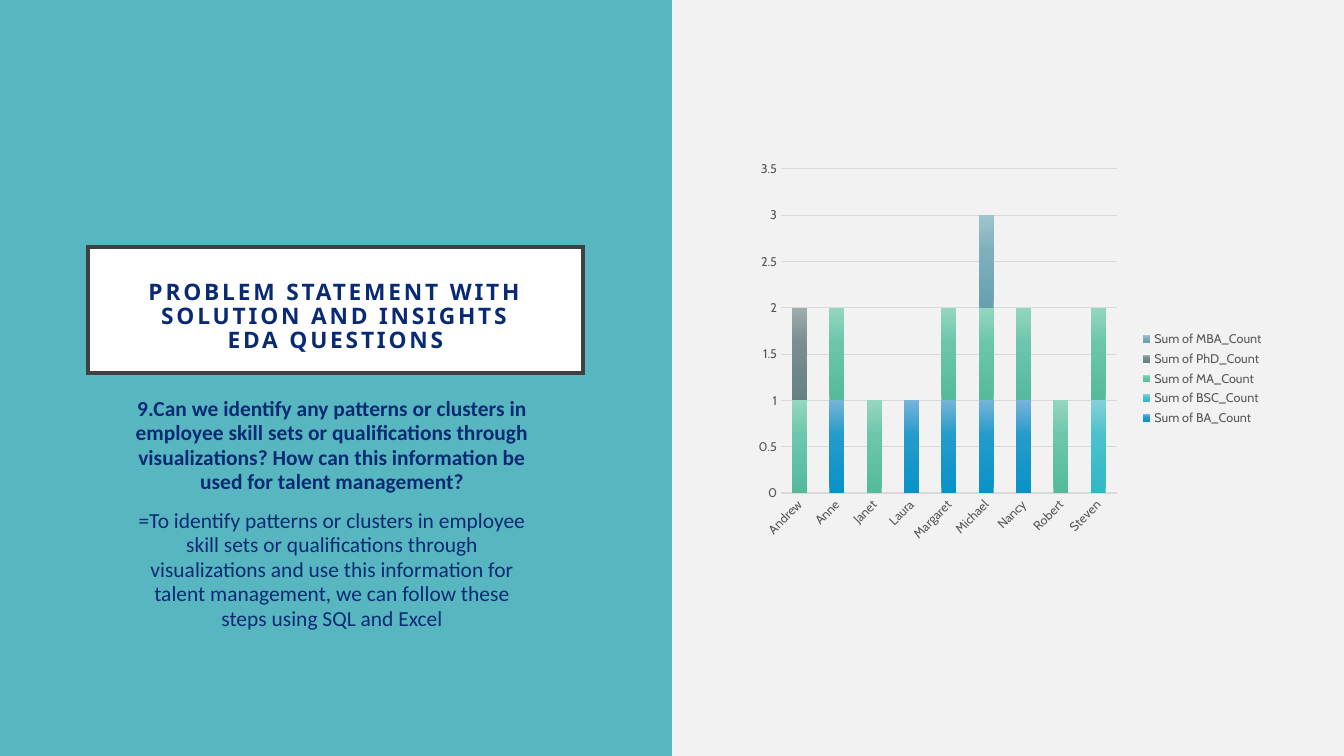
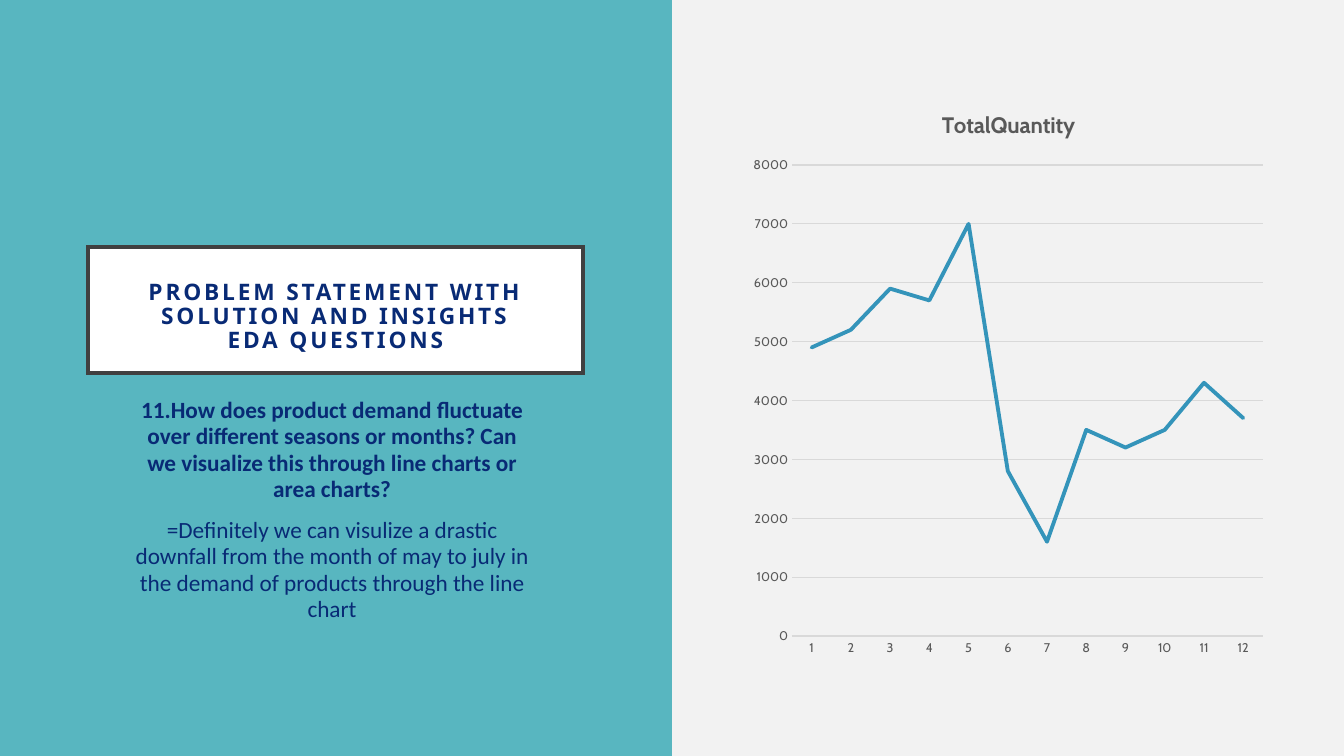
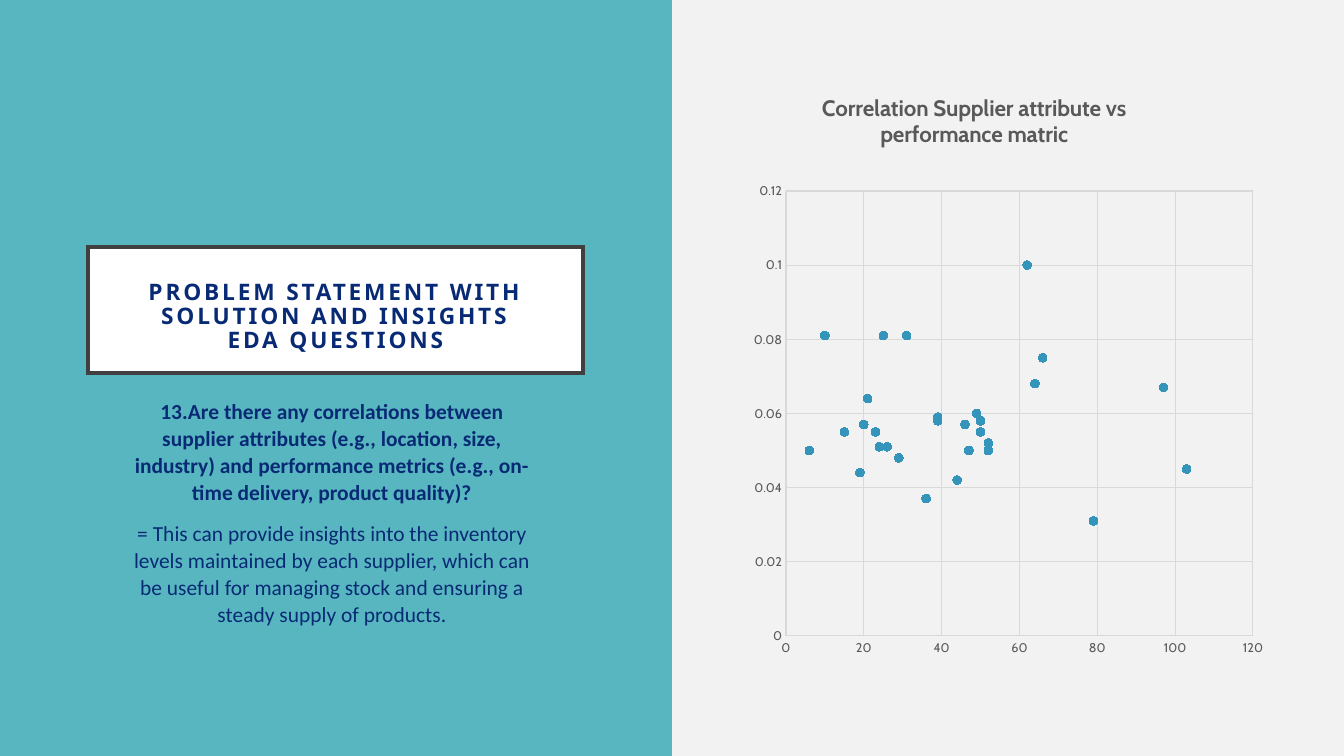
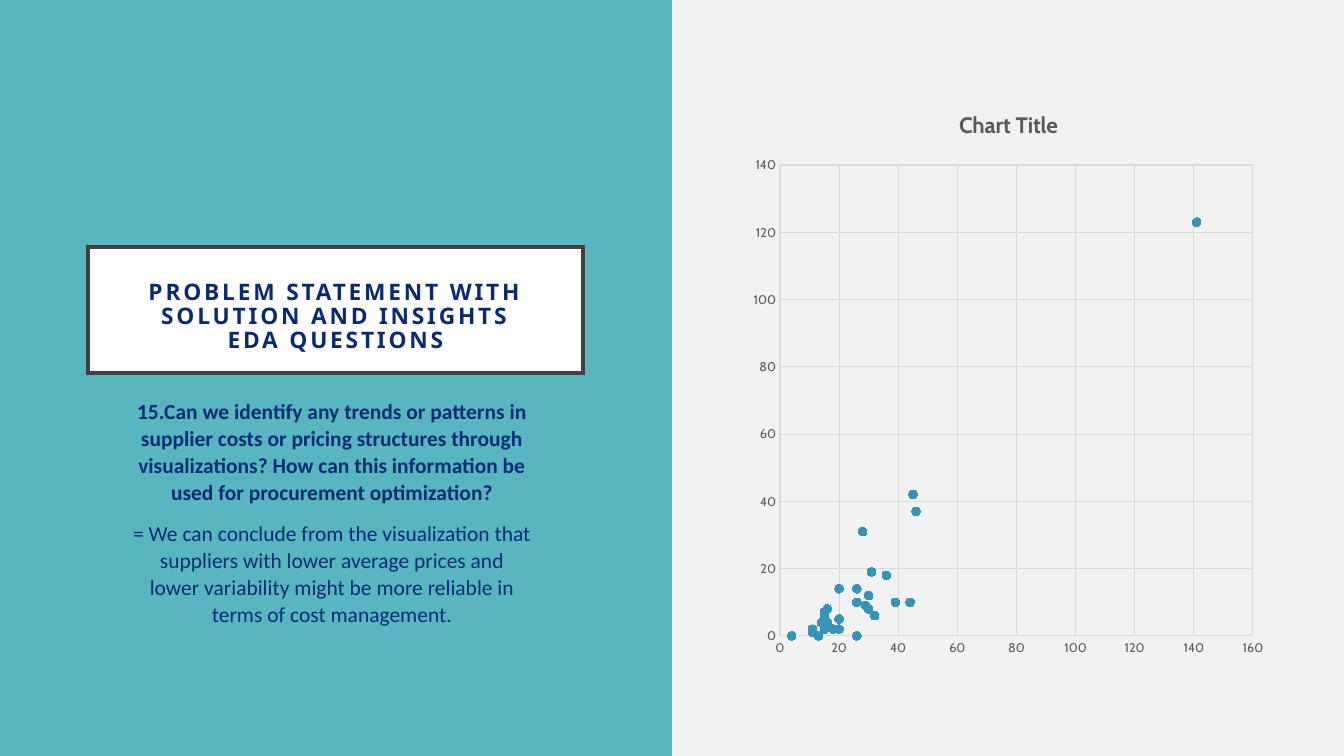
import pptx
import pptx.util
import pptx.dml.color
import pptx.chart.data
import pptx.enum.chart
import pptx.enum.shapes
import pptx.enum.text
import pptx.oxml
import pptx.oxml.ns

# ---- Content ----
HEAD = "PROBLEM STATEMENT WITH SOLUTION AND INSIGHTS\vEDA QUESTIONS"

STAFF = ["Andrew", "Anne", "Janet", "Laura", "Margaret", "Michael",
         "Nancy", "Robert", "Steven"]
DEGREES = [
    ("Sum of BA_Count", (0, 1, 0, 1, 1, 1, 1, 0, 0), ("0A92C8", "239BCB", "76B4D8")),
    ("Sum of BSC_Count", (0, 0, 0, 0, 0, 0, 0, 0, 1), ("32B7C5", "4BC1CD", "84D1DB")),
    ("Sum of MA_Count", (1, 1, 1, 0, 1, 1, 1, 1, 1), ("54BA9B", "6CC6AB", "95D6C0")),
    ("Sum of PhD_Count", (1, 0, 0, 0, 0, 0, 0, 0, 0), ("668083", "788E90", "9FADAF")),
    ("Sum of MBA_Count", (0, 0, 0, 0, 0, 1, 0, 0, 0), ("67A0AE", "7EB0BC", "A0C4CE")),
]
DEMAND = (4900, 5200, 5900, 5700, 7000, 2800, 1600, 3500, 3200, 3500, 4300, 3700)
SUPPLY = (
    (25, 50, 36, 24, 39, 29, 21, 15, 79, 20, 39, 47, 10, 6, 52, 52, 97, 46,
     103, 23, 64, 31, 44, 19, 66, 26, 62, 50, 49),
    (0.081, 0.058, 0.037, 0.051, 0.059, 0.048, 0.064, 0.055, 0.031, 0.057,
     0.058, 0.05, 0.081, 0.05, 0.052, 0.05, 0.067, 0.057, 0.045, 0.055,
     0.068, 0.081, 0.042, 0.044, 0.075, 0.051, 0.1, 0.055, 0.06),
)
COSTS = (
    (16, 20, 32, 46, 30, 15, 36, 28, 15, 4, 30, 45, 26, 26, 20, 15, 20, 141,
     14, 26, 11, 11, 18, 31, 16, 29, 13, 44, 39),
    (4, 2, 6, 37, 8, 7, 18, 31, 6, 0, 12, 42, 0, 10, 14, 2, 5, 123, 4, 14,
     1, 2, 2, 19, 8, 9, 0, 10, 10),
)

# plot: left, top, right, bottom in pixels; rise and run: axis end and step
PAGES = [
    dict(ask="9.Can we identify any patterns or clusters in employee skill sets or "
             "qualifications through visualizations? How can this information be "
             "used for talent management?",
         reply="=To identify patterns or clusters in employee skill sets or "
               "qualifications through visualizations and use this information "
               "for talent management, we can follow these steps using SQL and Excel",
         size=15.3, lead=0.95, kind="stack", plot=(781, 169, 1117, 493),
         rise=(3.5, 0.5)),
    dict(ask="11.How does product demand fluctuate over different seasons or months? "
             "Can we visualize this through line charts or area charts?",
         reply="=Definitely we can visulize a drastic downfall from the month of may "
               "to july in the demand of products through the line chart",
         size=16.6, lead=0.95, kind="line", plot=(792, 165, 1263, 636),
         rise=(8000, 1000), title="TotalQuantity"),
    dict(ask="13.Are there any correlations between supplier attributes (e.g., "
             "location, size, industry) and performance metrics (e.g., on-time "
             "delivery, product quality)?",
         reply="= This can provide insights into the inventory levels maintained by "
               "each supplier, which can be useful for managing stock and ensuring "
               "a steady supply of products.",
         size=15.3, lead=1.05, kind="dots", dots=SUPPLY,
         plot=(786, 191, 1253, 636), rise=(0.12, 0.02), run=(120, 20),
         title="Correlation Supplier attribute vs\nperformance matric",
         spot=(819, 90)),
    dict(ask="15.Can we identify any trends or patterns in supplier costs or pricing "
             "structures through visualizations? How can this information be used "
             "for procurement optimization?",
         reply="= We can conclude from the visualization that suppliers with lower "
               "average prices and lower variability might be more reliable in "
               "terms of cost management.",
         size=15.3, lead=1.05, kind="dots", dots=COSTS,
         plot=(780, 165, 1253, 636), rise=(140, 20), run=(160, 20),
         title="Chart Title"),
]


# ---- Theme and layout ----
class Theme:
    back, band, card, edge = "F2F2F2", "58B6C0", "FFFFFF", "404040"
    ink, label, grid, mark = "082A75", "595959", "D9D9D9", "3494BA"
    head_font, body_font, chart_font = "Noto Sans", "Calibri", "Cabin"
    head, title, tick = 16.2, 16, 9


WIDE, HIGH = 1344, 756
BAND = (0, 0, WIDE // 2, HIGH)
CARD = (88, 247, 495, 126)
BODY = (123, 392, 418, 242)
CHART = (743, 89, 531, 579)

Pt = pptx.util.Pt
XL = pptx.enum.chart
CENTER = pptx.enum.text.PP_ALIGN.CENTER


# ---- Helpers ----
def px(n):
    return round(n * 914400 / 100.8)


def rgb(code):
    return pptx.dml.color.RGBColor.from_string(code)


def style(font, name, size, color, bold=False):
    font.name, font.size, font.bold = name, Pt(size), bold
    font.color.rgb = rgb(color)


def inset(frame, left, top, right, bottom):
    frame.word_wrap = True
    frame.margin_left, frame.margin_top = px(left), px(top)
    frame.margin_right, frame.margin_bottom = px(right), px(bottom)


def block(slide, box, fill):
    shape = slide.shapes.add_shape(
        pptx.enum.shapes.MSO_SHAPE.RECTANGLE, *map(px, box))
    shape.shadow.inherit = False
    shape.fill.solid()
    shape.fill.fore_color.rgb = rgb(fill)
    shape.line.fill.background()
    return shape


def node(text):
    return pptx.oxml.parse_xml(text)


def place(owner, index, spot, size=None):
    """Set a manual layout, as shares of the chart area."""
    left, top, wide, high = CHART
    parts = [("x", (spot[0] - left) / wide), ("y", (spot[1] - top) / high)]
    modes = ["xMode", "yMode"]
    if size:
        parts += [("w", size[0] / wide), ("h", size[1] / high)]
    target = '<c:layoutTarget val="inner"/>' if size else ""
    tags = "".join(f'<c:{m} val="edge"/>' for m in modes)
    tags += "".join(f'<c:{k} val="{v:.4f}"/>' for k, v in parts)
    for old in owner.findall(pptx.oxml.ns.qn("c:layout")):
        owner.remove(old)
    owner.insert(index, node(
        f'<c:layout {pptx.oxml.ns.nsdecls("c")}><c:manualLayout>{target}{tags}'
        '</c:manualLayout></c:layout>'))


def shade(series, colors):
    stops = "".join(
        f'<a:gs pos="{pos}"><a:srgbClr val="{color}"/></a:gs>'
        for pos, color in zip((0, 62000, 100000), colors))
    series.format.line.fill.background()
    series._element.get_or_add_spPr().insert(0, node(
        f'<a:gradFill {pptx.oxml.ns.nsdecls("a")} rotWithShape="1">'
        f'<a:gsLst>{stops}</a:gsLst><a:lin ang="16200000" scaled="0"/></a:gradFill>'))


# ---- Slide parts ----
def frame(slide):
    slide.background.fill.solid()
    slide.background.fill.fore_color.rgb = rgb(Theme.back)
    block(slide, BAND, Theme.band)
    card = block(slide, CARD, Theme.card)
    card.line.color.rgb = rgb(Theme.edge)
    card.line.width = Pt(2.5)
    card.line._get_or_add_ln().append(
        node(f'<a:miter {pptx.oxml.ns.nsdecls("a")} lim="800000"/>'))
    text = card.text_frame
    inset(text, 20, 27, 20, 13)
    text.vertical_anchor = pptx.enum.text.MSO_ANCHOR.MIDDLE
    text.text = HEAD
    para = text.paragraphs[0]
    para.alignment, para.line_spacing = CENTER, 0.88
    for run in para.runs:
        style(run.font, Theme.head_font, Theme.head, Theme.ink, True)
        run._r.get_or_add_rPr().set("spc", "200")


def body(slide, page):
    text = slide.shapes.add_textbox(*map(px, BODY)).text_frame
    inset(text, 10, 5, 10, 5)
    text.text = page["ask"] + "\n" + page["reply"]
    for para, bold in zip(text.paragraphs, (True, False)):
        para.alignment, para.line_spacing = CENTER, page["lead"]
        para.space_after = Pt(10 if bold else 0)
        style(para.runs[0].font, Theme.body_font, page["size"], Theme.ink, bold)


def axis(item, span=None, grid=True):
    item.major_tick_mark = item.minor_tick_mark = XL.XL_TICK_MARK.NONE
    style(item.tick_labels.font, Theme.chart_font, Theme.tick, Theme.label)
    item.has_major_gridlines = grid
    if grid:
        line = item.major_gridlines.format.line
        line.color.rgb, line.width = rgb(Theme.grid), Pt(0.75)
        item.format.line.fill.background()
    else:
        item.format.line.color.rgb = rgb(Theme.grid)
        item.format.line.width = Pt(1)
    if span:
        item.minimum_scale = 0
        item.maximum_scale, item.major_unit = span


def figure(page):
    """Return the chart type and its data."""
    kind = page["kind"]
    if kind == "dots":
        data = pptx.chart.data.XyChartData()
        series = data.add_series("Series 1")
        for x, y in zip(*page["dots"]):
            series.add_data_point(x, y)
        return XL.XL_CHART_TYPE.XY_SCATTER, data
    data = pptx.chart.data.CategoryChartData()
    if kind == "stack":
        data.categories = STAFF
        for name, counts, _ in DEGREES:
            data.add_series(name, counts)
        return XL.XL_CHART_TYPE.COLUMN_STACKED, data
    data.categories = [str(n + 1) for n in range(len(DEMAND))]
    data.add_series(page["title"], DEMAND)
    return XL.XL_CHART_TYPE.LINE, data


def paint(chart, kind):
    plot = chart.plots[0]
    plot.vary_by_categories = False
    if kind == "stack":
        plot.gap_width, plot.overlap = 150, 100
        for series, (_, _, colors) in zip(plot.series, DEGREES):
            shade(series, colors)
        chart.category_axis._element.find(
            ".//" + pptx.oxml.ns.qn("a:bodyPr")).set("rot", "-2700000")
        chart.has_legend = True
        chart.legend.position = XL.XL_LEGEND_POSITION.RIGHT
        chart.legend.include_in_layout = False
        style(chart.legend.font, Theme.chart_font, Theme.tick, Theme.label)
        return
    series = plot.series[0]
    series.smooth = False
    if kind == "line":
        series.format.line.color.rgb = rgb(Theme.mark)
        series.format.line.width = Pt(2.75)
        series._element.get_or_add_spPr().get_or_add_ln().set("cap", "rnd")
        series.marker.style = XL.XL_MARKER_STYLE.NONE
    else:
        series.format.line.fill.background()
        series.marker.style = XL.XL_MARKER_STYLE.CIRCLE
        series.marker.size = 6
        series.marker.format.fill.solid()
        series.marker.format.fill.fore_color.rgb = rgb(Theme.mark)
        series.marker.format.line.fill.background()


def graph(slide, page):
    kind, data = figure(page)
    chart = slide.shapes.add_chart(kind, *map(px, CHART), data).chart
    style(chart.font, Theme.chart_font, Theme.tick, Theme.label)
    chart.has_legend = False
    axis(chart.category_axis, page.get("run"), page["kind"] == "dots")
    axis(chart.value_axis, page["rise"])
    paint(chart, page["kind"])

    chart.has_title = "title" in page
    if chart.has_title:
        title = chart.chart_title
        title.text_frame.text = page["title"]
        title.include_in_layout = False
        for para in title.text_frame.paragraphs:
            para.alignment = CENTER
            style(para.runs[0].font, Theme.chart_font, Theme.title,
                  Theme.label, True)
        if "spot" in page:
            place(title._element, 1, page["spot"])

    left, top, right, low = page["plot"]
    area = chart._chartSpace.chart.plotArea
    place(area, 0, (left, top), (right - left, low - top))


# ---- Build ----
deck = pptx.Presentation()
deck.slide_width, deck.slide_height = px(WIDE), px(HIGH)
for page in PAGES:
    slide = deck.slides.add_slide(deck.slide_layouts[6])
    frame(slide)
    body(slide, page)
    graph(slide, page)
deck.save("out.pptx")
